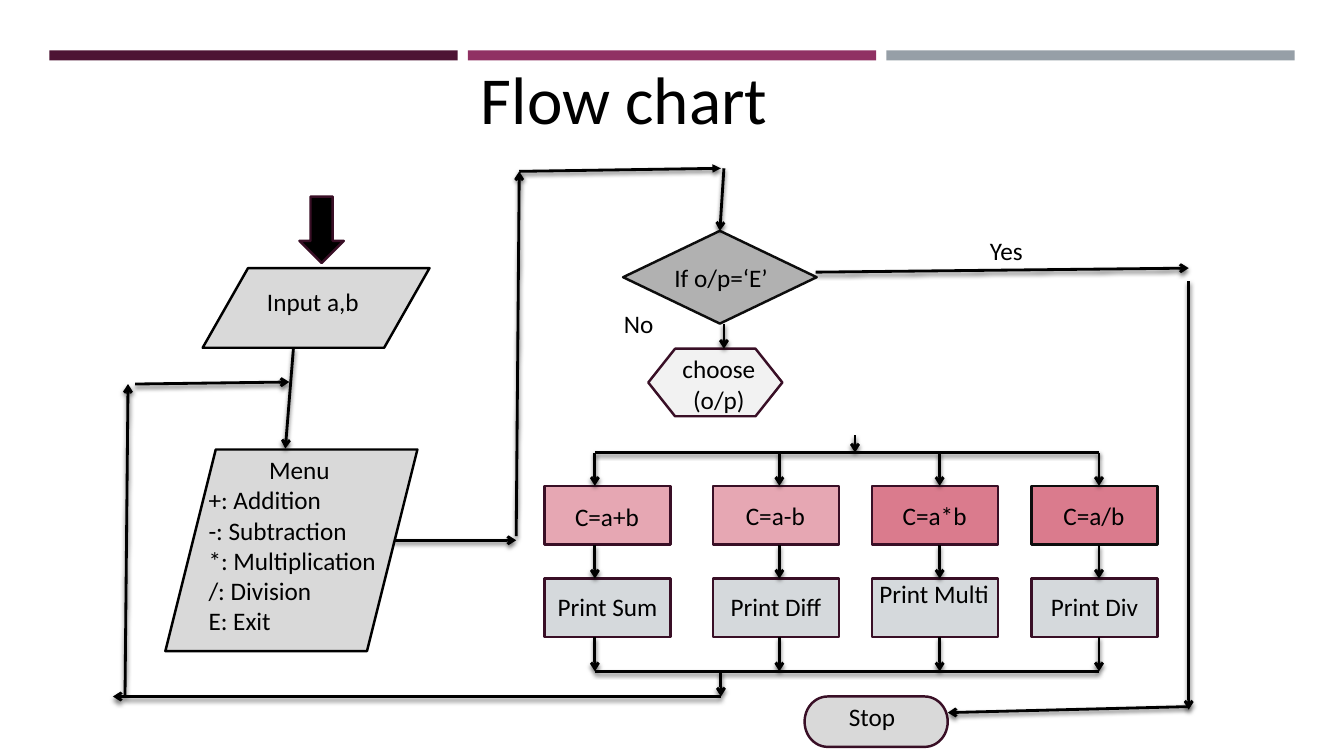
from lxml import etree
from pptx import Presentation
from pptx import util as u
from pptx.dml.color import RGBColor
from pptx.enum import shapes, text
from pptx.oxml import parse_xml
from pptx.oxml.ns import qn

PX = 9144  # EMU per px, 100 px to the inch
SHAPE = shapes.MSO_SHAPE
SHADOW = (
    '<a:effectLst xmlns:a="http://schemas.openxmlformats.org/drawingml/2006/main">'
    '<a:outerShdw blurRad="38100" dist="25400" dir="5400000" rotWithShape="0">'
    '<a:srgbClr val="000000"><a:alpha val="55000"/></a:srgbClr>'
    '</a:outerShdw></a:effectLst>'
)


def rgb(color):
    return RGBColor.from_string(color)


def px(*values):
    return [u.Emu(v * PX) for v in values]


def write(p, content, size=18, color="000000", font="Calibri", align=None):
    p.alignment = align
    r = p.add_run()
    r.text = content
    r.font.size = u.Pt(size)
    r.font.name = font
    r.font.color.rgb = rgb(color)


class FlowSlide:
    black, plum, grey = "000000", "390F26", "D9D9D9"
    center = text.PP_ALIGN.CENTER

    def __init__(self, prs):
        self.s = prs.slides.add_slide(prs.slide_layouts[6])

    def shape(self, kind, x, y, w, h, fill, line=None):
        sp = self.s.shapes.add_shape(kind, *px(x, y, w, h))
        sp.shadow.inherit = False
        sp.fill.solid()
        sp.fill.fore_color.rgb = rgb(fill)
        if line:
            sp.line.color.rgb = rgb(line)
            sp.line.width = u.Pt(1.75)
        else:
            sp.line.fill.background()

    def label(self, x, y, w, h, lines, aligns=None, **fmt):
        tf = self.s.shapes.add_textbox(*px(x, y, w, h)).text_frame
        tf.word_wrap = True
        tf.auto_size = text.MSO_AUTO_SIZE.SHAPE_TO_FIT_TEXT
        aligns = aligns or [None] * len(lines)
        for i, (line, align) in enumerate(zip(lines, aligns)):
            p = tf.add_paragraph() if i else tf.paragraphs[0]
            write(p, line, align=align, **fmt)

    def line(self, x1, y1, x2, y2, head="arrow"):
        sp = self.s.shapes.add_connector(
            shapes.MSO_CONNECTOR.STRAIGHT, *px(x1, y1, x2, y2))
        sp.line.color.rgb = rgb(self.black)
        sp.line.width = u.Pt(2)
        if head:
            etree.SubElement(sp.line._get_or_add_ln(), qn("a:tailEnd"), type=head)
        sp._element.spPr.append(parse_xml(SHADOW))


def main():
    prs = Presentation()
    prs.slide_width, prs.slide_height = px(1333, 750)
    fs = FlowSlide(prs)
    mid = fs.center

    # Top bars and title
    for i, color in enumerate(("4D1434", "903163", "969FA7")):
        fs.shape(SHAPE.RECTANGLE, 49 + 415 * i, 50, 405, 10, color)
    fs.label(467, 52, 331, 91, ["Flow chart"], size=48)

    # Input and menu
    fs.shape(SHAPE.DOWN_ARROW, 297, 195, 44, 66, fs.black, fs.plum)
    fs.shape(SHAPE.FLOWCHART_DATA, 201, 266, 225, 79, fs.grey, fs.black)
    fs.label(255, 279, 117, 40, ["Input a,b"])
    fs.shape(SHAPE.FLOWCHART_DATA, 164, 446, 250, 200, fs.grey, fs.black)
    menu = ["Menu", "+: Addition", "-: Subtraction", "*: Multiplication",
            "/: Division", "E: Exit"]
    fs.label(197, 446, 200, 192, menu, [mid] + [None] * 5)

    # Decision, choice and stop
    fs.shape(SHAPE.FLOWCHART_DECISION, 618, 229, 192, 92, "B1B1B1", "0D0D0D")
    fs.label(659, 255, 125, 40, ["If o/p=‘E’"])
    fs.label(972, 229, 75, 40, ["Yes"])
    fs.label(609, 301, 75, 40, ["No"])
    fs.shape(SHAPE.FLOWCHART_PREPARATION, 643, 346, 133, 67, "F2F2F2", fs.plum)
    fs.label(659, 346, 108, 71, ["choose", "(o/p)"], [mid, mid])
    fs.shape(SHAPE.FLOWCHART_TERMINATOR, 798, 691, 142, 50, fs.grey, fs.plum)
    fs.label(832, 691, 75, 40, ["Stop"])

    # Four operations: box left, arrow x, texts, fill, outline
    operations = [
        (540, 590, "C=a+b", "Print Sum", "E6A7B3", fs.plum),
        (707, 773, "C=a-b", "Print Diff", "E6A7B3", fs.plum),
        (865, 932, "C=a*b", "Print Multi", "DA7B8D", fs.plum),
        (1023, 1090, "C=a/b", "Print Div", "DA7B8D", "0D0D0D"),
    ]
    for y in (449, 666):
        fs.line(590, y, 1090, y, head=None)
    for x, arrow_x, formula, output, fill, outline in operations:
        fs.shape(SHAPE.FLOWCHART_PROCESS, x, 482, 125, 58, fill, outline)
        fs.shape(SHAPE.FLOWCHART_PROCESS, x, 574, 125, 58, "D5D9DC", fs.plum)
        fs.label(x + 8, 492 if x == 540 else 491, 108, 40, [formula], [mid])
        if output == "Print Multi":  # wider and higher, to stay on one line
            fs.label(x - 10, 569, 143, 40, [output], [mid])
        else:
            fs.label(x, 582, 125, 40, [output], [mid])
        for top, bottom in ((449, 482), (541, 574), (632, 666)):
            fs.line(arrow_x, top, arrow_x, bottom)

    # Flow arrows
    for ends in (
        (291, 346, 283, 445),    # input to menu
        (391, 536, 512, 536),    # menu to decision
        (512, 532, 515, 170),
        (718, 167, 714, 229),
        (718, 321, 718, 346),    # decision to choice
        (848, 432, 848, 449),    # choice to operations
        (809, 270, 1179, 266),   # decision to stop
        (1179, 279, 1179, 704),
        (1179, 701, 940, 707),
        (715, 666, 715, 691),    # operations back to menu
        (715, 691, 112, 691),
        (124, 691, 127, 381),
        (134, 381, 287, 379),
    ):
        fs.line(*ends)
    fs.line(515, 170, 715, 167, head="triangle")

    prs.save("out.pptx")


if __name__ == "__main__":
    main()
